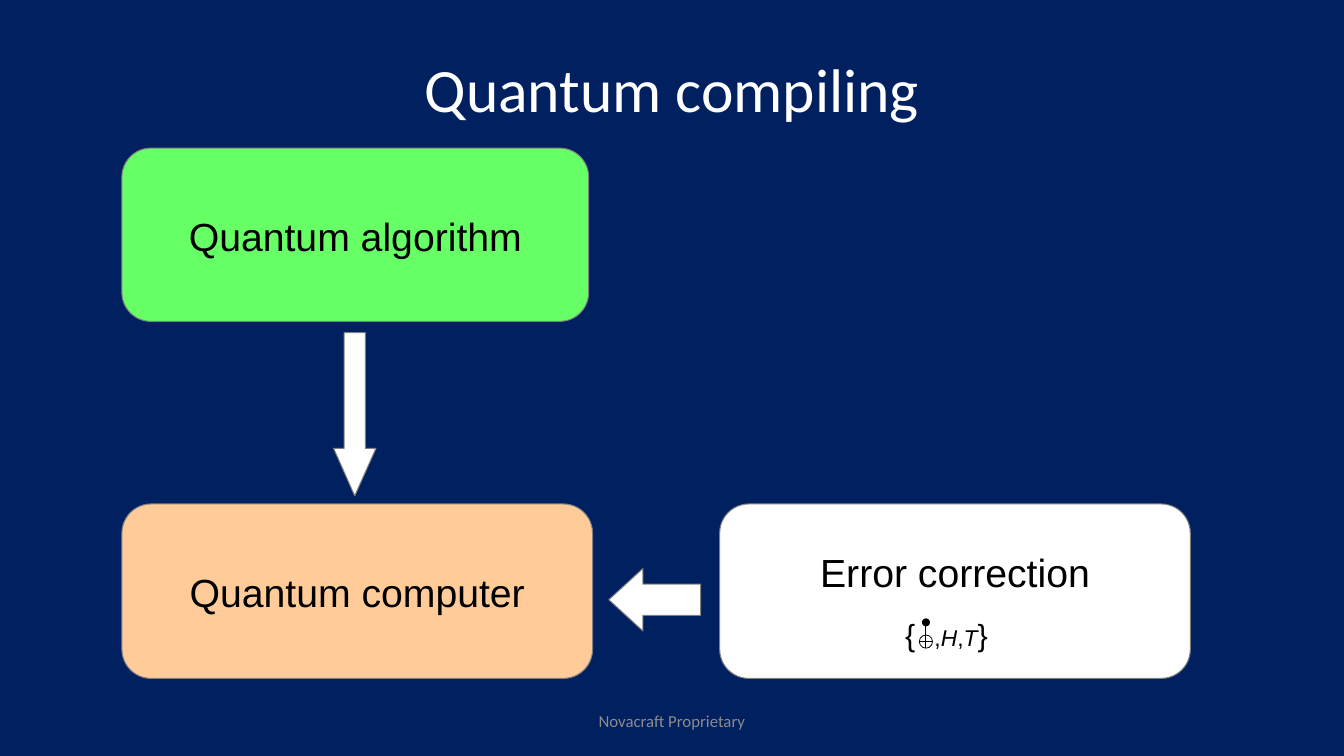
"""Build the quantum compiling slide."""
from dataclasses import dataclass

from lxml import etree
from pptx import Presentation
from pptx.dml.color import RGBColor
from pptx.enum import shapes, text
from pptx.oxml import ns
from pptx.util import Pt

TITLE = "Quantum compiling"
FOOTER = "Novacraft Proprietary"
LEFT, RIGHT, TOP, BOTTOM = 87.1, 514.1, 105.8, 360
STAGES = [
    ("Quantum algorithm", "66FF66", (LEFT, TOP, 333.4, 123.8), 3),
    ("Quantum computer", "FFCC99", (LEFT, BOTTOM, 336.2, 124.6), 3),
    ("Error correction", "FFFFFF", (RIGHT, BOTTOM, 336.2, 124.6), 32),
]
ARROWS = [
    ("DOWN_ARROW", (238.3, 237.6, 30.2, 116.6), 1.121),
    ("LEFT_ARROW", (434.9, 406.1, 65.5, 44.6), 0.545),
]
GATE_SET = [("{", 21.8, False), ("\t,", 16.3, False), ("H", 16.3, True),
            (",", 16.3, False), ("T", 16.3, True), ("}", 21.8, False)]
GATE_X, DOT_Y, TARGET_Y = 661.4, 444.6, 458.3
DOT_SIZE, TARGET_SIZE = 5, 9.4


@dataclass(frozen=True)
class Theme:
    background: str = "002060"
    light: str = "FFFFFF"
    ink: str = "000000"
    outline: str = "808080"
    muted: str = "8C8C8C"
    heading_font: str = "Calibri"
    body_font: str = "Arial"
    title_size: float = 44
    stage_size: float = 28
    footer_size: float = 12
    line_width: float = 0.75
    target_width: float = 0.57


THEME = Theme()


def color(value):
    return RGBColor.from_string(value)


def points(*values):
    return [Pt(value) for value in values]


def set_frame(frame, insets, anchor=text.MSO_ANCHOR.MIDDLE, wrap=True):
    frame.auto_size = text.MSO_AUTO_SIZE.NONE
    frame.word_wrap = wrap
    frame.vertical_anchor = anchor
    (frame.margin_left, frame.margin_top,
     frame.margin_right, frame.margin_bottom) = points(*insets)
    return frame.paragraphs[0]


def add_span(para, words, font, size, ink, italic=False):
    span = para.add_run()
    span.text = words
    span.font.name = font
    span.font.size = Pt(size)
    span.font.italic = italic
    span.font.color.rgb = color(ink)


def add_figure(parent, kind, bounds, fill, outline, width=THEME.line_width):
    figure = parent.add_shape(kind, *points(*bounds))
    figure.shadow.inherit = False
    if fill:
        figure.fill.solid()
        figure.fill.fore_color.rgb = color(fill)
    else:
        figure.fill.background()
    figure.line.color.rgb = color(outline)
    figure.line.width = Pt(width)
    return figure


def add_line(parent, *ends):
    line = parent.add_connector(shapes.MSO_CONNECTOR.STRAIGHT, *points(*ends))
    line.line.color.rgb = color(THEME.ink)
    line.line.width = Pt(THEME.line_width)
    etree.SubElement(line._element.spPr, ns.qn("a:effectLst"))


def add_circle(parent, center_y, size, fill, width):
    bounds = (GATE_X - size / 2, center_y - size / 2, size, size)
    add_figure(parent, shapes.MSO_SHAPE.OVAL, bounds, fill, THEME.ink, width)


def add_title(page):
    title = page.shapes.title
    title.left, title.top, title.width, title.height = points(156.2, 21.6, 648, 90)
    para = set_frame(title.text_frame, (7.2, 2.2, 7.2, 3.6))
    para.alignment = text.PP_ALIGN.CENTER
    para.line_spacing = 0.9
    add_span(para, TITLE, THEME.heading_font, THEME.title_size, THEME.light)


def add_stages(page):
    for label, fill, bounds, bottom in STAGES:
        box = add_figure(page.shapes, shapes.MSO_SHAPE.ROUNDED_RECTANGLE,
                         bounds, fill, THEME.outline)
        box.adjustments[0] = 0.167
        para = set_frame(box.text_frame, (6.5, 4.3, 6.5, bottom), wrap=False)
        para.alignment = text.PP_ALIGN.CENTER
        add_span(para, label, THEME.body_font, THEME.stage_size, THEME.ink)


def add_arrows(page):
    for kind, bounds, head in ARROWS:
        arrow = add_figure(page.shapes, shapes.MSO_SHAPE[kind], bounds,
                           THEME.light, THEME.outline)
        arrow.adjustments[0] = 0.5
        arrow.adjustments[1] = head


def add_gate_set(page):
    group = page.shapes.add_group_shape().shapes
    reach = TARGET_SIZE / 2
    add_circle(group, DOT_Y, DOT_SIZE, THEME.ink, THEME.line_width)
    add_line(group, GATE_X, DOT_Y, GATE_X, TARGET_Y + reach)
    add_circle(group, TARGET_Y, TARGET_SIZE, None, THEME.target_width)
    add_line(group, GATE_X - reach, TARGET_Y, GATE_X + reach, TARGET_Y)
    box = group.add_textbox(*points(640.1, 435.6, 72, 31))
    para = set_frame(box.text_frame, (6.5, 4.3, 0, 3), text.MSO_ANCHOR.TOP)
    tabs = etree.SubElement(para._p.get_or_add_pPr(), ns.qn("a:tabLst"))
    etree.SubElement(tabs, ns.qn("a:tab"), pos=str(Pt(20.9)), algn="l")
    for words, size, italic in GATE_SET:
        add_span(para, words, THEME.body_font, size, THEME.ink, italic)


def add_footer(page):
    box = page.shapes.add_textbox(*points(318, 500.4, 324, 28.8))
    para = set_frame(box.text_frame, (7.2, 3.6, 7.2, 3.6))
    para.alignment = text.PP_ALIGN.CENTER
    add_span(para, FOOTER, THEME.heading_font, THEME.footer_size, THEME.muted)


def main():
    deck = Presentation()
    deck.slide_width, deck.slide_height = points(960, 540)
    page = deck.slides.add_slide(deck.slide_layouts.get_by_name("Title Only"))
    page.background.fill.solid()
    page.background.fill.fore_color.rgb = color(THEME.background)
    for add_part in (add_title, add_stages, add_arrows, add_gate_set, add_footer):
        add_part(page)
    deck.save("out.pptx")


if __name__ == "__main__":
    main()
